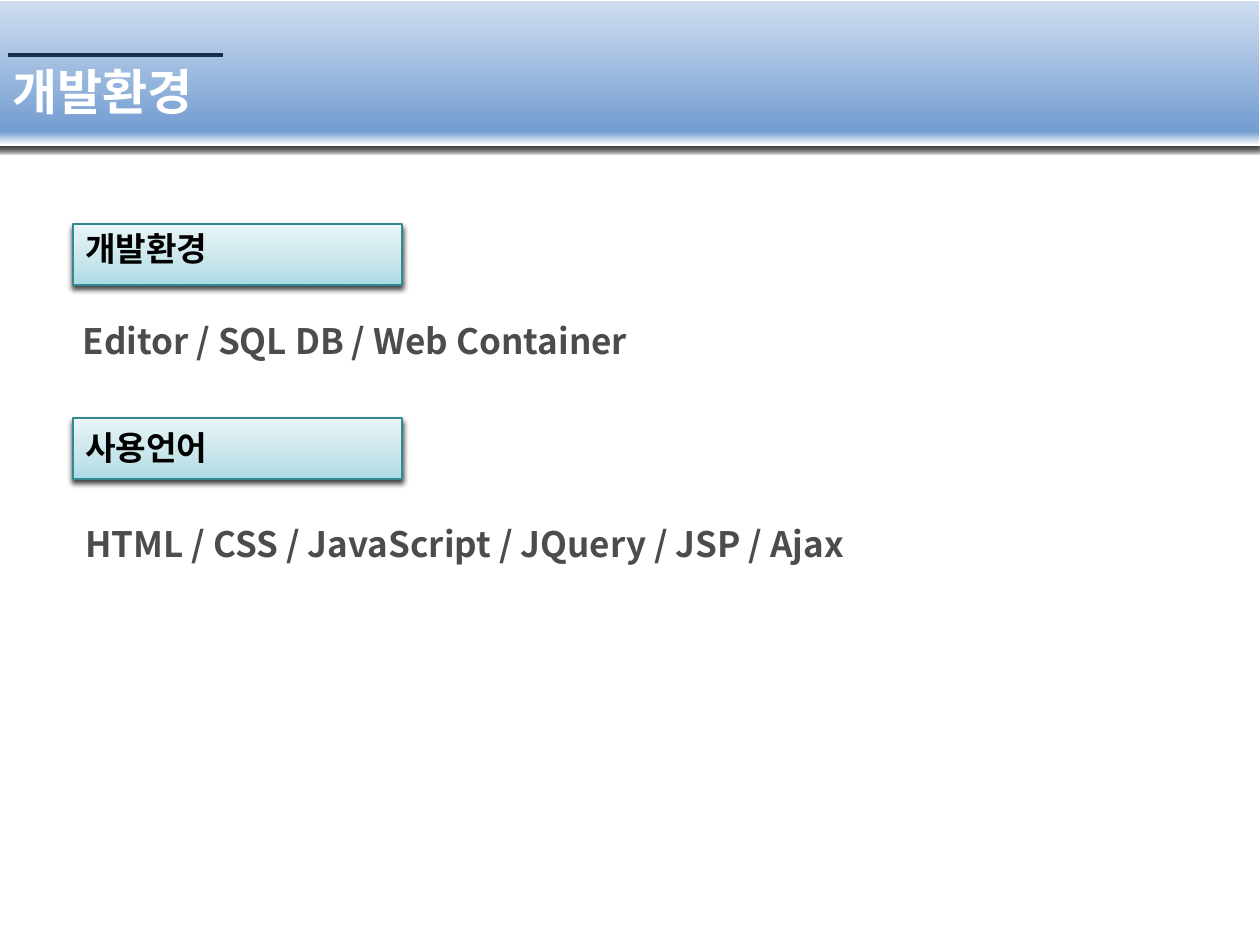
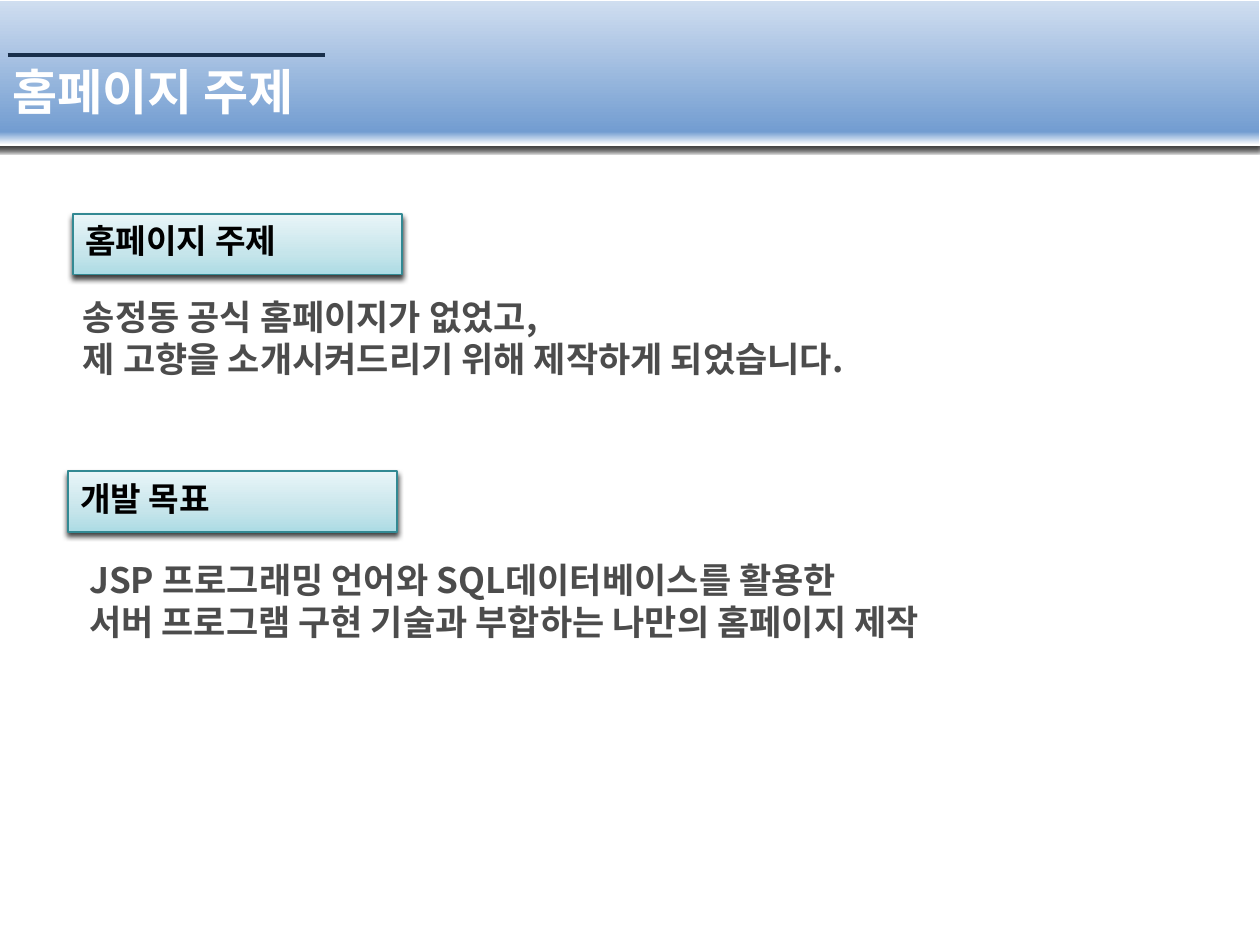
from lxml import etree
from pptx import Presentation
from pptx.dml.color import RGBColor
from pptx.enum.shapes import MSO_CONNECTOR, MSO_SHAPE
from pptx.enum.text import MSO_AUTO_SIZE
from pptx.oxml.ns import qn
from pptx.util import Inches, Pt

RECTANGLE = MSO_SHAPE.RECTANGLE
STRAIGHT = MSO_CONNECTOR.STRAIGHT
GROW_TO_TEXT = MSO_AUTO_SIZE.SHAPE_TO_FIT_TEXT

WHITE = RGBColor(0xFF, 0xFF, 0xFF)
BLACK = RGBColor(0, 0, 0)
GRAY = RGBColor(0x4C, 0x4C, 0x4C)
NAVY = RGBColor(0x18, 0x2F, 0x4B)
TEAL = RGBColor(0x33, 0x89, 0x93)
BAND_STOPS = [
    (0, WHITE),
    (9, RGBColor(0x73, 0x9D, 0xD1)),
    (100, RGBColor(0xD0, 0xDE, 0xF0)),
]
LABEL_STOPS = [
    (0, RGBColor(0xAC, 0xDB, 0xE4)),
    (35, RGBColor(0xC6, 0xE5, 0xEB)),
    (100, RGBColor(0xE9, 0xF5, 0xF8)),
]

FONT = "Noto Sans CJK KR"
TITLE_FORMAT = {"size": Pt(28), "bold": True, "name": FONT}
LABEL_FORMAT = {"size": Pt(19), "bold": True, "name": FONT}
BODY_FORMAT = {"size": Pt(20), "bold": True, "name": FONT}

LABEL_WIDTH, LABEL_HEIGHT = 2.61, 0.48
RULE_LEFT, TITLE_TOP = 0.06, 0.44


def add_color(parent, color):
    return etree.SubElement(parent, qn("a:srgbClr"), val=str(color))


def fill_gradient(shape, stops):
    shape.fill.gradient()
    shape.fill.gradient_angle = 90
    stop_list = shape._element.spPr.find(".//" + qn("a:gsLst"))
    for old_stop in list(stop_list):
        stop_list.remove(old_stop)
    for percent, color in stops:
        stop = etree.SubElement(stop_list, qn("a:gs"), pos=str(percent * 1000))
        add_color(stop, color)


def add_shadow(shape):
    shape.shadow.inherit = False
    effects = shape._element.spPr.find(qn("a:effectLst"))
    shadow = etree.SubElement(
        effects, qn("a:outerShdw"), blurRad=str(Pt(3)), dist=str(Pt(2)),
        dir="5400000", rotWithShape="0")
    etree.SubElement(add_color(shadow, BLACK), qn("a:alpha"), val="75000")


def add_panel(slide, left, top, width, height, stops, border, border_width):
    panel = slide.shapes.add_shape(
        RECTANGLE, Inches(left), Inches(top), Inches(width), Inches(height))
    fill_gradient(panel, stops)
    panel.line.color.rgb = border
    panel.line.width = Pt(border_width)
    add_shadow(panel)


def add_text(slide, left, top, width, height, lines, text_format, color, wrap=True):
    box = slide.shapes.add_textbox(
        Inches(left), Inches(top), Inches(width), Inches(height))
    frame = box.text_frame
    frame.word_wrap = wrap
    frame.auto_size = GROW_TO_TEXT
    for index, line in enumerate(lines):
        paragraph = frame.add_paragraph() if index else frame.paragraphs[0]
        run = paragraph.add_run()
        run.text = line
        for attribute, value in text_format.items():
            setattr(run.font, attribute, value)
        run.font.color.rgb = color
        etree.SubElement(run.font._element, qn("a:ea"), typeface=FONT)


def add_header(slide, title, title_width, rule_right):
    add_panel(slide, -0.51, 0, 10.51, 1.15, BAND_STOPS, WHITE, 1.5)
    add_text(slide, 0, TITLE_TOP, title_width, 0.57, [title],
             TITLE_FORMAT, WHITE, wrap=False)
    rule = slide.shapes.add_connector(
        STRAIGHT, Inches(RULE_LEFT), Inches(TITLE_TOP),
        Inches(rule_right), Inches(TITLE_TOP))
    rule.line.color.rgb = NAVY
    rule.line.width = Pt(2.25)
    etree.SubElement(rule._element.spPr, qn("a:effectLst"))


def add_label(slide, left, top, text, text_top):
    add_panel(slide, left, top, LABEL_WIDTH, LABEL_HEIGHT, LABEL_STOPS, TEAL, 1)
    add_text(slide, left, text_top, 2.57, 0.41, [text], LABEL_FORMAT, BLACK)


def add_body(slide, left, top, width, lines):
    height = 0.1 + 0.33 * len(lines)
    add_text(slide, left, top, width, height, lines, BODY_FORMAT, GRAY)


def build_environment(slide):
    add_header(slide, "개발환경", 1.71, 1.77)
    add_label(slide, 0.58, 1.78, "개발환경", 1.76)
    add_body(slide, 0.56, 2.49, 5.76, ["Editor / SQL DB / Web Container"])
    add_label(slide, 0.58, 3.32, "사용언어", 3.34)
    add_body(slide, 0.58, 4.1, 7.02,
             ["HTML / CSS / JavaScript / JQuery / JSP / Ajax"])


def build_topic(slide):
    add_header(slide, "홈페이지 주제", 2.58, 2.58)
    add_label(slide, 0.58, 1.7, "홈페이지 주제", 1.7)
    add_body(slide, 0.56, 2.3, 8.77, [
        "송정동 공식 홈페이지가 없었고,",
        "제 고향을 소개시켜드리기 위해 제작하게 되었습니다.",
    ])
    add_label(slide, 0.54, 3.74, "개발 목표", 3.75)
    add_body(slide, 0.61, 4.38, 8.77, [
        "JSP 프로그래밍 언어와 SQL데이터베이스를 활용한",
        "서버 프로그램 구현 기술과 부합하는 나만의 홈페이지 제작",
    ])


def main():
    deck = Presentation()
    deck.slide_width = Inches(10)
    deck.slide_height = Inches(7.5)
    blank = deck.slide_layouts[6]
    for build in (build_environment, build_topic):
        build(deck.slides.add_slide(blank))
    deck.save("out.pptx")


if __name__ == "__main__":
    main()
